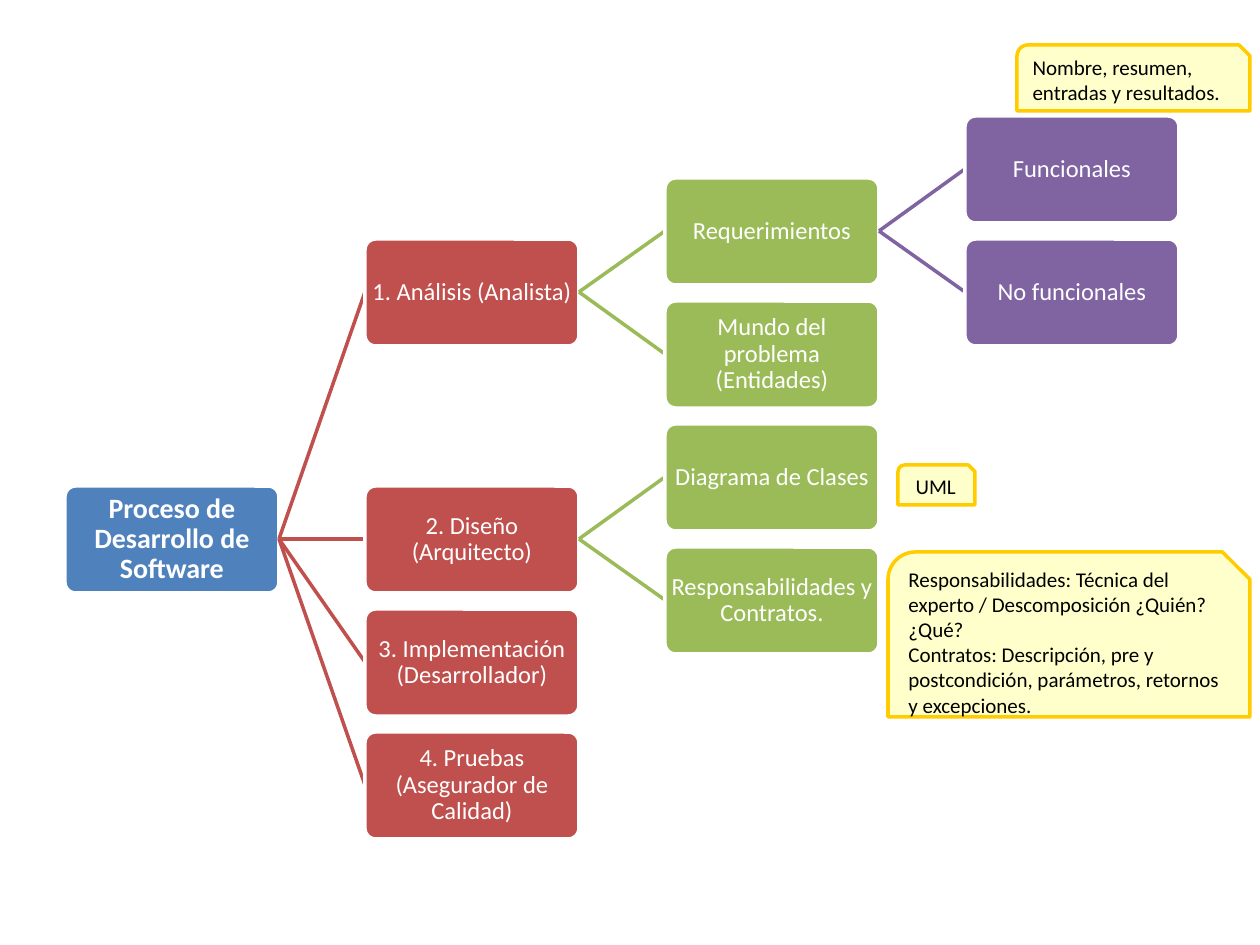
"""Build a slide with the software development process tree and its notes."""
from dataclasses import dataclass

import pptx
import pptx.dml.color
import pptx.enum.shapes
import pptx.enum.text
import pptx.oxml.ns
import pptx.shapes.autoshape
import pptx.slide
import pptx.util
from lxml import etree

Shape = pptx.enum.shapes.MSO_SHAPE
Align = pptx.enum.text.PP_ALIGN
Anchor = pptx.enum.text.MSO_ANCHOR

EMU_PER_PX = 914400 / 126
SLIDE_WIDTH, SLIDE_HEIGHT = 1260, 945
NODE_WIDTH, NODE_HEIGHT = 214, 107
TREE_LEFT, TREE_TOP = 65, 116
COLUMN_STEP, HALF_ROW_STEP = 300, 61.6


@dataclass(frozen=True)
class Theme:
    font: str = "Calibri"
    levels: tuple[str, ...] = ("4F81BD", "C0504D", "9BBB59", "8064A2")
    node_ink: str = "FFFFFF"
    node_line: str = "FFFFFF"
    note_fill: str = "FFFFCC"
    note_line: str = "FFCC00"
    note_ink: str = "000000"
    root_size: int = 16
    node_size: int = 14
    note_size: int = 12
    line_width: int = 2


@dataclass(frozen=True)
class Node:
    text: str
    half_row: int
    children: tuple["Node", ...] = ()


@dataclass(frozen=True)
class Note:
    left: int
    top: int
    width: int
    height: int
    paragraphs: tuple[str, ...]
    align: Align = Align.LEFT
    anchor: Anchor = Anchor.TOP


THEME = Theme()

PROCESS = Node("Proceso de Desarrollo de Software", 6, (
    Node("1. Análisis (Analista)", 2, (
        Node("Requerimientos", 1, (
            Node("Funcionales", 0),
            Node("No funcionales", 2),
        )),
        Node("Mundo del problema (Entidades)", 3),
    )),
    Node("2. Diseño (Arquitecto)", 6, (
        Node("Diagrama de Clases", 5),
        Node("Responsabilidades y Contratos.", 7),
    )),
    Node("3. Implementación (Desarrollador)", 8),
    Node("4. Pruebas (Asegurador de Calidad)", 10),
))

NOTES = (
    Note(888, 552, 362, 165, (
        "Responsabilidades: Técnica del experto / Descomposición ¿Quién?¿Qué?",
        "Contratos: Descripción, pre y postcondición, parámetros, retornos y excepciones.",
    )),
    Note(898, 465, 77, 40, ("UML",), Align.CENTER, Anchor.MIDDLE),
    Note(1017, 45, 233, 66, ("Nombre, resumen, entradas y resultados.",)),
)


def px(length: int) -> pptx.util.Emu:
    return pptx.util.Emu(round(length * EMU_PER_PX))


def rgb(color: str) -> pptx.dml.color.RGBColor:
    return pptx.dml.color.RGBColor.from_string(color)


def write_text(
    box: pptx.shapes.autoshape.Shape,
    paragraphs: tuple[str, ...],
    *,
    size: int,
    color: str,
    bold: bool = False,
    align: Align = Align.CENTER,
    anchor: Anchor = Anchor.MIDDLE,
    line_spacing: float = 1.0,
) -> None:
    frame = box.text_frame
    frame.word_wrap = True
    frame.vertical_anchor = anchor
    for index, text in enumerate(paragraphs):
        para = frame.add_paragraph() if index else frame.paragraphs[0]
        para.alignment = align
        para.line_spacing = line_spacing
        span = para.add_run()
        span.text = text
        span.font.name = THEME.font
        span.font.size = pptx.util.Pt(size)
        span.font.bold = bold
        span.font.color.rgb = rgb(color)


def add_box(
    page: pptx.slide.Slide, kind: Shape, left: int, top: int, width: int, height: int,
    *, fill: str, line: str,
) -> pptx.shapes.autoshape.Shape:
    box = page.shapes.add_shape(kind, px(left), px(top), px(width), px(height))
    box.shadow.inherit = False
    box.fill.solid()
    box.fill.fore_color.rgb = rgb(fill)
    box.line.color.rgb = rgb(line)
    box.line.width = pptx.util.Pt(THEME.line_width)
    return box


def node_position(node: Node, level: int) -> tuple[int, int]:
    return TREE_LEFT + level * COLUMN_STEP, TREE_TOP + round(node.half_row * HALF_ROW_STEP)


def draw_branch(page: pptx.slide.Slide, parent: Node, child: Node, level: int) -> None:
    parent_left, parent_top = node_position(parent, level - 1)
    child_left, child_top = node_position(child, level)
    middle = NODE_HEIGHT // 2
    branch = page.shapes.add_connector(
        pptx.enum.shapes.MSO_CONNECTOR.STRAIGHT,
        px(parent_left + NODE_WIDTH), px(parent_top + middle),
        px(child_left), px(child_top + middle),
    )
    branch.line.color.rgb = rgb(THEME.levels[level])
    branch.line.width = pptx.util.Pt(THEME.line_width)
    etree.SubElement(branch.element.spPr, pptx.oxml.ns.qn("a:effectLst"))


def draw_tree(page: pptx.slide.Slide, node: Node, level: int = 0) -> None:
    left, top = node_position(node, level)
    box = add_box(
        page, Shape.ROUNDED_RECTANGLE, left, top, NODE_WIDTH, NODE_HEIGHT,
        fill=THEME.levels[level], line=THEME.node_line,
    )
    box.adjustments[0] = 0.1
    frame = box.text_frame
    frame.margin_left = frame.margin_right = frame.margin_top = frame.margin_bottom = px(1)
    is_root = level == 0
    write_text(
        box, (node.text,), size=THEME.root_size if is_root else THEME.node_size,
        color=THEME.node_ink, bold=is_root, line_spacing=0.9,
    )
    for child in node.children:
        draw_branch(page, node, child, level + 1)
        draw_tree(page, child, level + 1)


def draw_note(page: pptx.slide.Slide, note: Note) -> None:
    box = add_box(
        page, Shape.SNIP_ROUND_RECTANGLE, note.left, note.top, note.width, note.height,
        fill=THEME.note_fill, line=THEME.note_line,
    )
    write_text(
        box, note.paragraphs, size=THEME.note_size, color=THEME.note_ink,
        align=note.align, anchor=note.anchor,
    )


def main() -> None:
    deck = pptx.Presentation()
    deck.slide_width, deck.slide_height = px(SLIDE_WIDTH), px(SLIDE_HEIGHT)
    page = deck.slides.add_slide(deck.slide_layouts[6])
    draw_tree(page, PROCESS)
    for note in NOTES:
        draw_note(page, note)
    deck.save("out.pptx")


if __name__ == "__main__":
    main()
